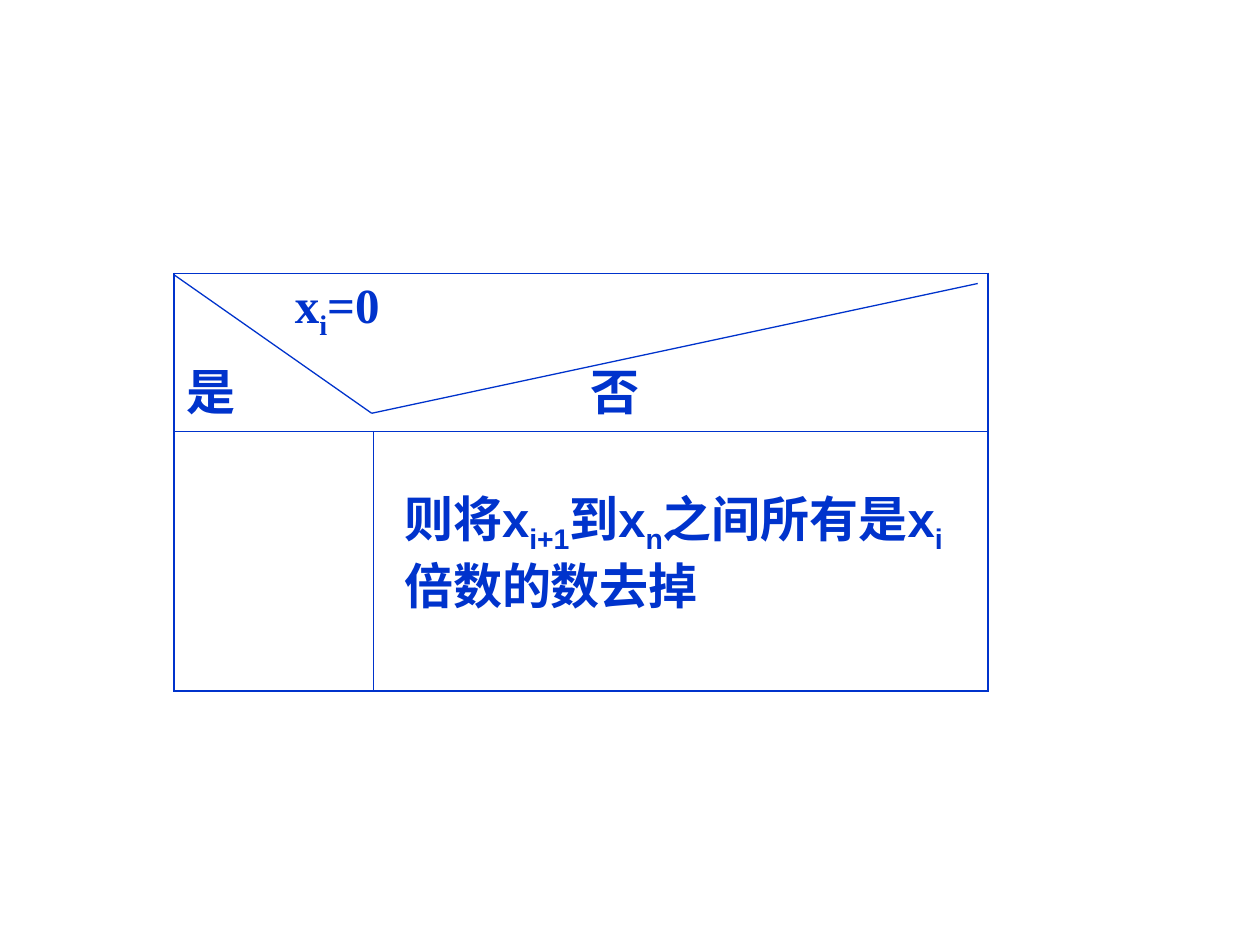
from dataclasses import dataclass
from typing import NamedTuple

from lxml import etree
from pptx import Presentation
from pptx import util as u
from pptx.dml import color
from pptx.enum import shapes, text
from pptx.oxml import ns


@dataclass(frozen=True)
class Theme:
    blue: str = "0033CC"
    sans: str = "Arial"
    serif: str = "Times New Roman"
    size: float = 28
    gap: float = 7
    thin: float = 0.45
    thick: float = 1.08
    slant: float = 0.75


class Edge(NamedTuple):
    x1: float
    y1: float
    x2: float
    y2: float


class Frame(NamedTuple):
    row: int
    col: int
    left: float
    right: float
    top: float
    base: float


THEME = Theme()
THIN, THICK = THEME.thin, THEME.thick
LEFT, TOP = 1.38, 2.17
COLS, ROWS = (1.58, 4.88), (1.2, 2.06)
PEAK = (2.95, 3.28)
EDGES = [Edge(LEFT, 2.18, *PEAK), Edge(*PEAK, 7.76, 2.25)]
FRAMES = [
    Frame(0, 0, THICK, THICK, THICK, THIN),
    Frame(0, 1, THICK, THICK, THICK, THIN),
    Frame(1, 0, THICK, THIN, THIN, THICK),
    Frame(1, 1, THIN, THICK, THIN, THICK),
]


def write(para, words: str, *, font: str = THEME.sans, gap: float = 0,
          dent: float = 0, tab: float = 0) -> None:
    props = para._p.get_or_add_pPr()
    if dent:
        props.set("marL", str(u.Inches(dent)))
        props.set("indent", "0")
    if tab:
        stops = etree.SubElement(props, ns.qn("a:tabLst"))
        etree.SubElement(stops, ns.qn("a:tab"), pos=str(u.Inches(tab)), algn="l")
    para.space_before = u.Pt(gap)
    para.alignment = text.PP_ALIGN.LEFT
    for num, part in enumerate(words.split("_")):
        run = para.add_run()
        run.text = part
        run.font.name = font
        run.font.size = u.Pt(THEME.size)
        run.font.bold = True
        run.font.color.rgb = color.RGBColor.from_string(THEME.blue)
        if num % 2:
            run.font._element.set("baseline", "-25000")


def border(cell, frame: Frame) -> None:
    cell.fill.background()
    props = cell._tc.get_or_add_tcPr()
    sides = zip("LRTB", (frame.left, frame.right, frame.top, frame.base))
    for num, (side, width) in enumerate(sides):
        line = etree.Element(ns.qn(f"a:ln{side}"), w=str(u.Pt(width)))
        fill = etree.SubElement(line, ns.qn("a:solidFill"))
        etree.SubElement(fill, ns.qn("a:srgbClr"), val=THEME.blue)
        props.insert(num, line)


def draw_grid(slide) -> None:
    grid = slide.shapes.add_table(
        len(ROWS), len(COLS), u.Inches(LEFT), u.Inches(TOP),
        u.Inches(sum(COLS)), u.Inches(sum(ROWS))).table
    grid.first_row = grid.horz_banding = False
    for col, width in zip(grid.columns, COLS):
        col.width = u.Inches(width)
    for row, height in zip(grid.rows, ROWS):
        row.height = u.Inches(height)
    for frame in FRAMES:
        border(grid.cell(frame.row, frame.col), frame)
    head = grid.cell(0, 0)
    head.merge(grid.cell(0, 1))
    body = head.text_frame
    write(body.paragraphs[0], "x_i_=0", font=THEME.serif, dent=0.86)
    write(body.add_paragraph(), "是\t否", gap=THEME.gap, tab=3.21)


def draw_edge(slide, edge: Edge) -> None:
    line = slide.shapes.add_connector(
        shapes.MSO_CONNECTOR.STRAIGHT, *(u.Inches(v) for v in edge))
    line.line.color.rgb = color.RGBColor.from_string(THEME.blue)
    line.line.width = u.Pt(THEME.slant)
    etree.SubElement(line._element.spPr, ns.qn("a:effectLst"))


def draw_note(slide) -> None:
    box = slide.shapes.add_textbox(
        u.Inches(3.11), u.Inches(3.83), u.Inches(4.57), u.Inches(1.16))
    body = box.text_frame
    body.word_wrap = True
    body.auto_size = text.MSO_AUTO_SIZE.SHAPE_TO_FIT_TEXT
    write(body.paragraphs[0], "则将x_i+1_到x_n_之间所有是x_i_倍数的数去掉")


def main() -> None:
    deck = Presentation()
    deck.slide_width, deck.slide_height = u.Inches(10), u.Inches(7.5)
    slide = deck.slides.add_slide(deck.slide_layouts[6])
    draw_grid(slide)
    for edge in EDGES:
        draw_edge(slide, edge)
    draw_note(slide)
    deck.save("out.pptx")


if __name__ == "__main__":
    main()
